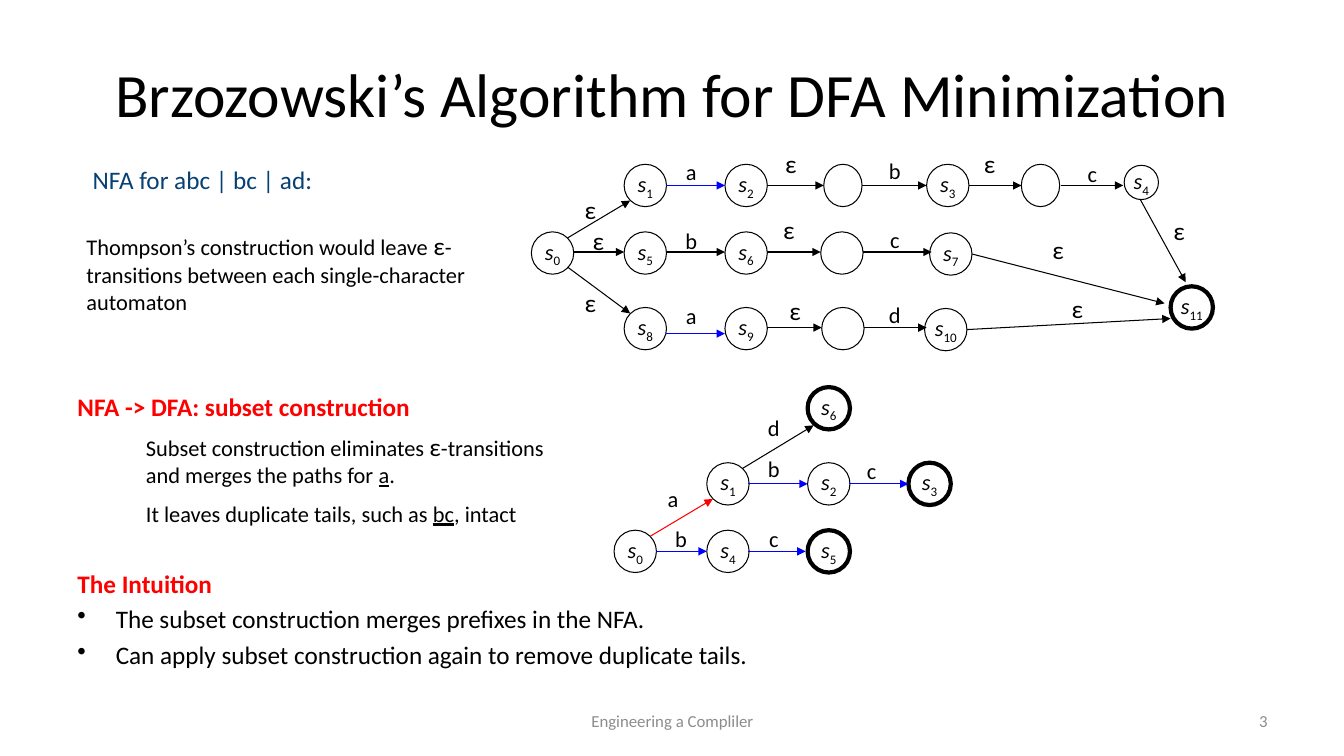
from dataclasses import dataclass

from lxml.etree import SubElement
from pptx import Presentation
from pptx.dml.color import RGBColor
from pptx.enum.shapes import MSO_CONNECTOR, MSO_SHAPE
from pptx.enum.text import MSO_ANCHOR, PP_ALIGN
from pptx.oxml.ns import qn
from pptx.util import Inches, Pt


@dataclass(frozen=True)
class Theme:
    font: str = "Calibri"
    black: str = "000000"
    red: str = "FF0000"
    blue: str = "0000FF"
    navy: str = "074073"
    grey: str = "8C8C8C"
    title: int = 44
    body: int = 18
    note: int = 16
    footer: int = 12
    thin: float = 0.75
    thick: float = 3


T = Theme()
BLACK, RED, BLUE = T.black, T.red, T.blue
NODE = 0.42

# name, left, top, then optionally accepting, width, height
NFA_STATES = [
    ("0", 5.27, 2.3),
    ("1", 6.19, 1.63), ("2", 7.19, 1.63), ("", 8.17, 1.63, False, 0.38),
    ("3", 9.19, 1.63), ("", 10.13, 1.63, False, 0.38),
    ("4", 11.15, 1.64, False, 0.34, 0.34),
    ("5", 6.19, 2.3), ("6", 7.19, 2.3), ("", 8.14, 2.3), ("7", 9.22, 2.31),
    ("8", 6.19, 3.05), ("9", 7.19, 3.05), ("", 8.15, 3.05), ("10", 9.17, 3.06),
    ("11", 11.61, 2.84, True),
]
DFA_STATES = [
    ("0", 6.09, 5.26), ("4", 7.01, 5.26), ("5", 8.01, 5.26, True),
    ("1", 7.01, 4.59), ("2", 8.01, 4.59), ("3", 9.01, 4.59, True),
    ("6", 8.01, 3.84, True),
]

# start, end, colour, symbol, left and top of the symbol
NFA_MOVES = [
    ((5.63, 2.36), (6.25, 1.99), BLACK, "ε", 5.69, 1.88),
    ((5.69, 2.5), (6.19, 2.5), BLACK, "ε", 5.77, 2.19),
    ((5.63, 2.65), (6.25, 3.11), BLACK, "ε", 5.69, 2.8),
    ((6.61, 1.84), (7.19, 1.84), BLUE, "a", 6.69, 1.52),
    ((7.61, 1.84), (8.17, 1.84), BLACK, "ε", 7.68, 1.42),
    ((8.55, 1.84), (9.19, 1.84), BLACK, "b", 8.71, 1.51),
    ((9.61, 1.84), (10.13, 1.84), BLACK, "ε", 9.65, 1.42),
    ((10.52, 1.84), (11.14, 1.84), BLACK, "c", 10.67, 1.54),
    ((11.31, 1.98), (11.76, 2.8), BLACK, "ε", 11.53, 2.09),
    ((6.61, 2.5), (7.19, 2.5), BLACK, "b", 6.69, 2.2),
    ((7.61, 2.5), (8.14, 2.5), BLACK, "ε", 7.66, 2.08),
    ((8.56, 2.5), (9.24, 2.5), BLACK, "c", 8.71, 2.19),
    ((9.64, 2.52), (11.55, 3.01), BLACK, "ε", 10.33, 2.28),
    ((6.61, 3.31), (7.19, 3.31), BLUE, "a", 6.69, 2.95),
    ((7.61, 3.25), (8.15, 3.25), BLACK, "ε", 7.72, 2.88),
    ((8.57, 3.25), (9.19, 3.25), BLACK, "d", 8.71, 2.94),
    ((9.59, 3.27), (11.61, 3.16), BLACK, "ε", 10.52, 2.86),
]
DFA_MOVES = [
    ((6.45, 5.32), (7.07, 4.95), RED, "a", 6.51, 4.76),
    ((7.42, 4.8), (8.01, 4.8), BLUE, "b", 7.51, 4.47),
    ((8.42, 4.8), (9.01, 4.8), BLUE, "c", 8.48, 4.49),
    ((6.51, 5.47), (7.01, 5.47), BLUE, "b", 6.59, 5.16),
    ((7.42, 5.47), (7.99, 5.47), BLUE, "c", 7.51, 5.16),
    ((7.36, 4.65), (8.07, 4.22), BLACK, "d", 7.51, 4.06),
]


def rgb(colour):
    return RGBColor.from_string(colour)


def set_font(p, size, colour=BLACK, bold=False):
    p.font.name, p.font.size, p.font.bold = T.font, Pt(size), bold
    p.font.color.rgb = rgb(colour)


def text(s, box, paragraphs, size, colour=BLACK, bold=False,
         align=PP_ALIGN.LEFT, anchor=MSO_ANCHOR.TOP):
    """Each paragraph is a list of runs: a string, or (string, font settings)."""
    tf = s.shapes.add_textbox(*map(Inches, box)).text_frame
    tf.word_wrap, tf.vertical_anchor = True, anchor
    for i, runs in enumerate(paragraphs):
        p = tf.add_paragraph() if i else tf.paragraphs[0]
        p.alignment = align
        if i:
            p.space_before = Pt(size / 2)
        set_font(p, size, colour, bold)
        for run in runs:
            words, settings = (run, {}) if isinstance(run, str) else run
            r = p.add_run()
            r.text = words
            for name, value in settings.items():
                setattr(r.font, name, value)
    return tf


def bullets(tf, items):
    for item in items:
        p = tf.add_paragraph()
        p.text = item
        p.space_before = Pt(T.body * 0.2)
        set_font(p, T.body)
        pPr = p._p.get_or_add_pPr()
        pPr.set("marL", str(Inches(0.38)))
        pPr.set("indent", str(Inches(-0.38)))
        bullet = pPr.makeelement(qn("a:buChar"), {"char": "•"})
        pPr.insert_element_before(bullet, "a:tabLst", "a:defRPr", "a:extLst")


def state(s, name, left, top, accepting=False, width=NODE, height=NODE):
    sp = s.shapes.add_shape(MSO_SHAPE.OVAL, *map(Inches, (left, top, width, height)))
    sp.shadow.inherit = False
    sp.fill.background()
    sp.line.color.rgb = rgb(BLACK)
    sp.line.width = Pt(T.thick if accepting else T.thin)
    if not name:
        return
    tf = sp.text_frame
    tf.word_wrap, tf.vertical_anchor = False, MSO_ANCHOR.MIDDLE
    p = tf.paragraphs[0]
    p.alignment = PP_ALIGN.CENTER
    set_font(p, T.note)
    letter, index = p.add_run(), p.add_run()
    letter.text, index.text = "s", name
    letter.font.italic = True
    index._r.get_or_add_rPr().set("baseline", "-25000")


def move(s, start, end, colour, symbol, left, top):
    line = s.shapes.add_connector(MSO_CONNECTOR.STRAIGHT, *map(Inches, start + end))
    line.line.color.rgb = rgb(colour)
    line.line.width = Pt(T.thin)
    SubElement(line.line._get_or_add_ln(), qn("a:tailEnd"), type="triangle")
    SubElement(line._element.spPr, qn("a:effectLst"))
    size, height = (T.body, 0.4) if symbol == "ε" else (T.note, 0.37)
    text(s, (left, top, 0.33, height), [[symbol]], size, align=PP_ALIGN.CENTER)


def automaton(s, states, moves):
    for args in states:
        state(s, *args)
    for args in moves:
        move(s, *args)


def main():
    prs = Presentation()
    prs.slide_width, prs.slide_height = Inches(13.33), Inches(7.5)
    s = prs.slides.add_slide(prs.slide_layouts[6])
    epsilon = ("ε", {"size": Pt(T.body)})
    underlined = {"underline": True}

    text(s, (0.67, 0.3, 12, 1.25), [["Brzozowski’s Algorithm for DFA Minimization"]],
         T.title, align=PP_ALIGN.CENTER, anchor=MSO_ANCHOR.MIDDLE)
    text(s, (0.82, 1.58, 3.22, 0.4), [["NFA for abc | bc | ad:"]], T.body, T.navy)
    text(s, (0.76, 2.24, 4, 0.94),
         [["Thompson’s construction would leave ", epsilon,
           "-transitions between each single-character automaton"]], T.note)
    automaton(s, NFA_STATES, NFA_MOVES)

    text(s, (0.67, 3.83, 5, 0.4), [["NFA -> DFA: subset construction"]],
         T.body, RED, bold=True)
    text(s, (1.35, 4.23, 4.33, 1.08),
         [["Subset construction eliminates ", epsilon,
           "-transitions and merges the paths for ", ("a", underlined), "."],
          ["It leaves duplicate tails, such as ", ("bc", underlined), ", intact"]],
         T.note)
    automaton(s, DFA_STATES, DFA_MOVES)

    intuition = text(s, (0.67, 5.59, 12, 1.2), [["The Intuition"]],
                     T.body, RED, bold=True)
    bullets(intuition, ["The subset construction merges prefixes in the NFA.",
                        "Can apply subset construction again to remove duplicate tails."])

    text(s, (4.56, 6.95, 4.22, 0.4), [["Engineering a Compliler"]], T.footer, T.grey,
         align=PP_ALIGN.CENTER, anchor=MSO_ANCHOR.MIDDLE)
    text(s, (9.56, 6.95, 3.11, 0.4), [["3"]], T.footer, T.grey,
         align=PP_ALIGN.RIGHT, anchor=MSO_ANCHOR.MIDDLE)
    prs.save("out.pptx")


if __name__ == "__main__":
    main()
